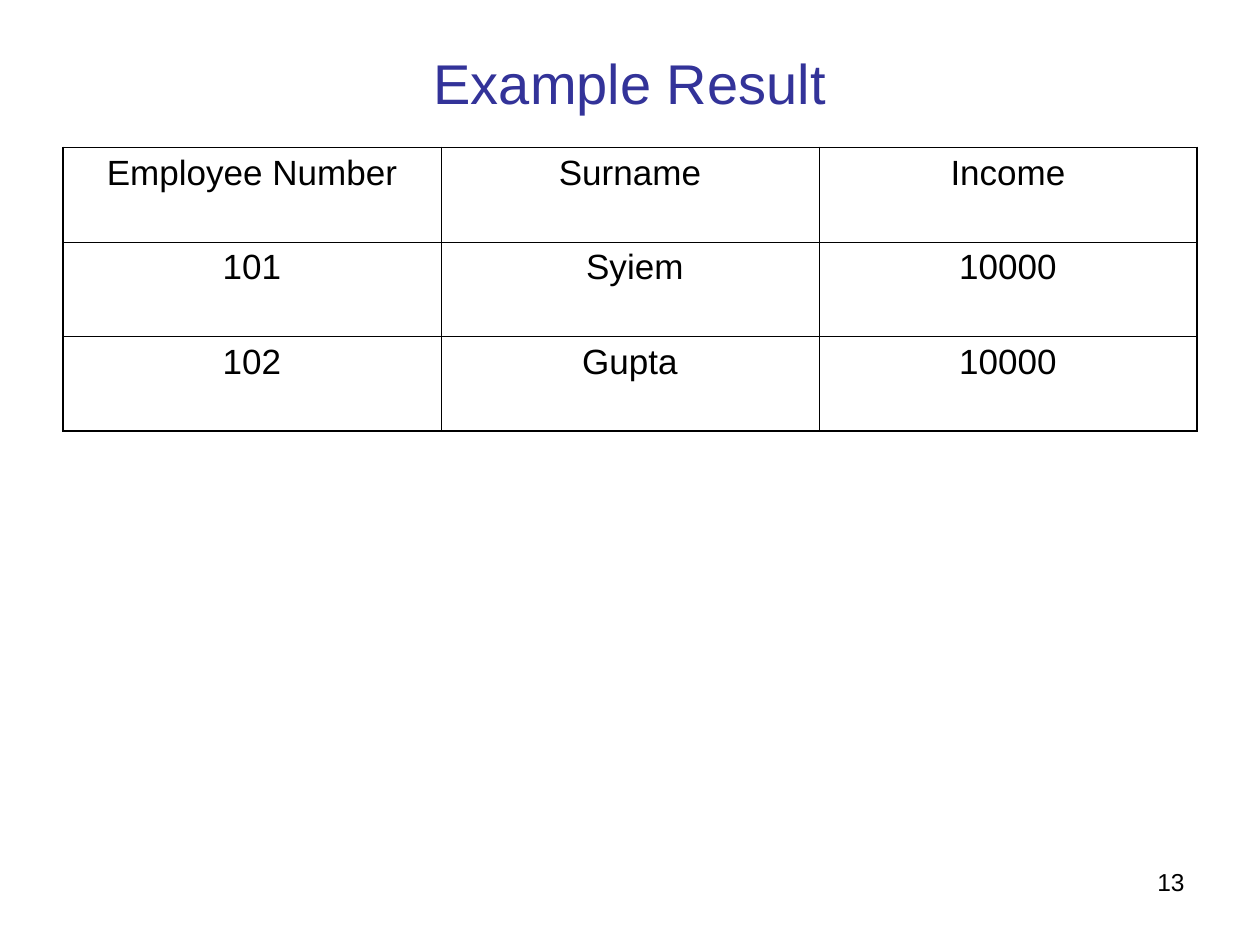
"""Build the Example Result slide with its employee income table."""

from dataclasses import astuple, dataclass

from lxml.etree import SubElement
from pptx import Presentation
from pptx.dml.color import RGBColor
from pptx.enum.text import MSO_ANCHOR, MSO_AUTO_SIZE, PP_ALIGN
from pptx.oxml.ns import qn
from pptx.slide import Slide
from pptx.table import _Cell
from pptx.text.text import TextFrame
from pptx.util import Inches, Pt

BLACK = RGBColor(0x00, 0x00, 0x00)
INDIGO = RGBColor(0x33, 0x33, 0x99)
FONT = "Arial"
OUTER, INNER = Pt(1.08), Pt(0.45)


@dataclass(frozen=True)
class Employee:
    number: str
    surname: str
    income: str


HEADER = Employee("Employee Number", "Surname", "Income")
EMPLOYEES = [Employee("101", " Syiem", "10000"), Employee("102", "Gupta", "10000")]


def write(tf: TextFrame, text: str, size: int, color: RGBColor, align: PP_ALIGN) -> None:
    tf.text = text
    p = tf.paragraphs[0]
    p.alignment = align
    p.font.name = FONT
    p.font.size = Pt(size)
    p.font.color.rgb = color


def set_borders(cell: _Cell, widths: dict[str, int]) -> None:
    tc_pr = cell._tc.get_or_add_tcPr()
    for side, width in widths.items():
        ln = SubElement(tc_pr, qn(f"a:ln{side}"), w=str(int(width)))
        fill = SubElement(ln, qn("a:solidFill"))
        SubElement(fill, qn("a:srgbClr"), val=str(BLACK))


def add_title(slide: Slide, text: str) -> None:
    title = slide.shapes.title
    title.left, title.top = Inches(0.5), Inches(0.3)
    title.width, title.height = Inches(9), Inches(0.7)
    tf = title.text_frame
    tf.auto_size = MSO_AUTO_SIZE.NONE
    tf.vertical_anchor = MSO_ANCHOR.MIDDLE
    write(tf, text, 32, INDIGO, PP_ALIGN.CENTER)


def add_employee_table(slide: Slide, records: list[Employee]) -> None:
    rows = [astuple(record) for record in records]
    last_row, last_col = len(rows) - 1, len(rows[0]) - 1
    table = slide.shapes.add_table(
        len(rows), len(rows[0]), Inches(0.5), Inches(1.17), Inches(9), Inches(0.75 * len(rows))
    ).table
    table.first_row = table.horz_banding = False
    for r, row in enumerate(rows):
        for c, text in enumerate(row):
            cell = table.cell(r, c)
            write(cell.text_frame, text, 20, BLACK, PP_ALIGN.CENTER)
            set_borders(cell, {
                "L": OUTER if c == 0 else INNER,
                "R": OUTER if c == last_col else INNER,
                "T": OUTER if r == 0 else INNER,
                "B": OUTER if r == last_row else INNER,
            })
            cell.fill.background()


def add_page_number(slide: Slide, number: str) -> None:
    sp = slide.shapes.add_textbox(Inches(7.17), Inches(6.83), Inches(2.33), Inches(0.52))
    sp.text_frame.word_wrap = True
    write(sp.text_frame, number, 14, BLACK, PP_ALIGN.RIGHT)


def main() -> None:
    prs = Presentation()
    prs.slide_width, prs.slide_height = Inches(10), Inches(7.5)
    slide = prs.slides.add_slide(prs.slide_layouts[5])
    add_title(slide, "Example Result")
    add_employee_table(slide, [HEADER, *EMPLOYEES])
    add_page_number(slide, "13")
    prs.save("out.pptx")


if __name__ == "__main__":
    main()
